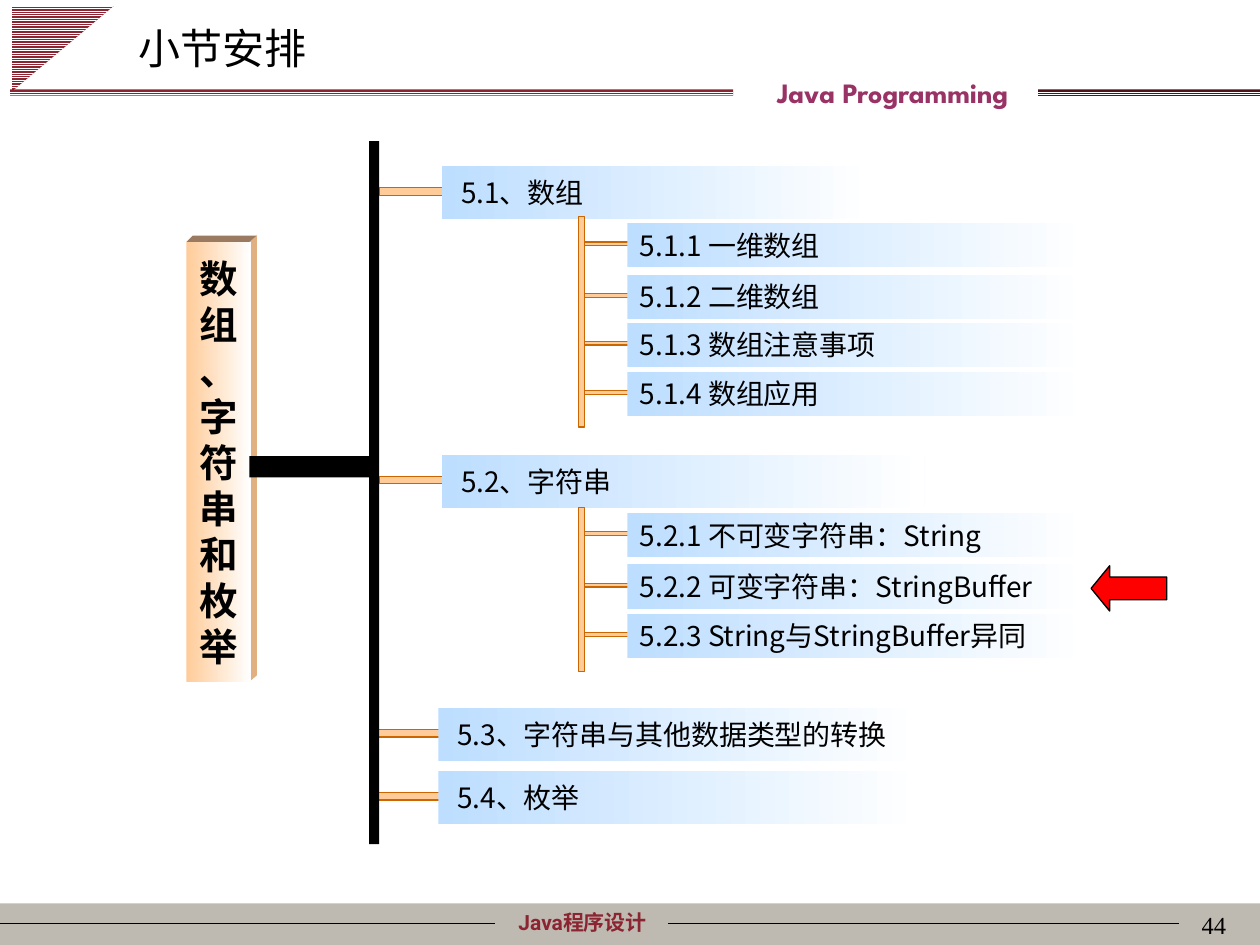
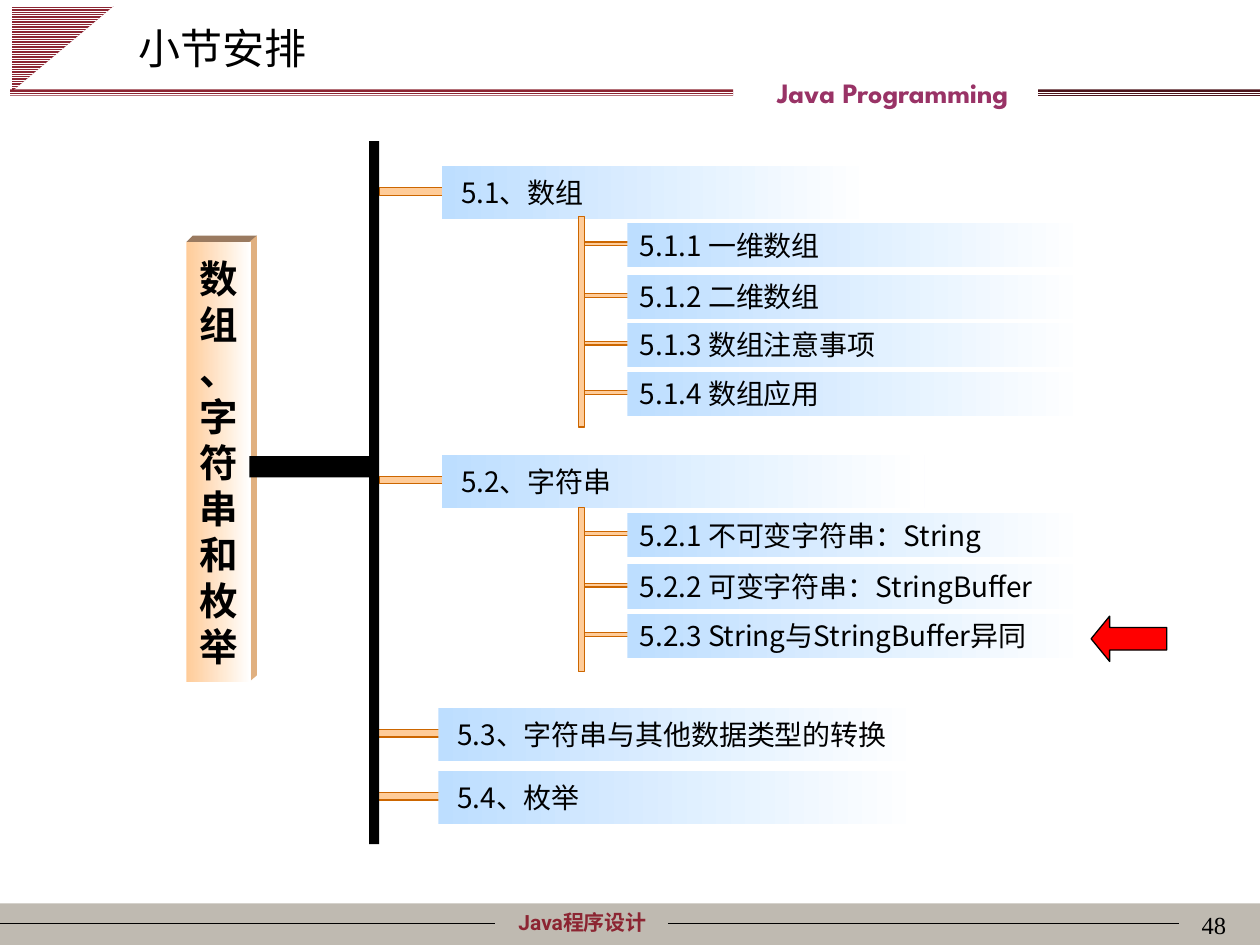
from dataclasses import dataclass

from lxml import etree
from pptx import Presentation
from pptx import util as u
from pptx.dml.color import RGBColor
from pptx.enum import shapes, text
from pptx.enum.dml import MSO_PATTERN
from pptx.oxml.ns import qn


@dataclass(frozen=True)
class Theme:
    black: str = "000000"
    white: str = "FFFFFF"
    maroon: str = "8C2532"
    dark_maroon: str = "4C141B"
    plum: str = "993366"
    band: str = "BFBAB1"
    peach: str = "FFCC99"
    orange: str = "CC6600"
    sky: str = "BDDEFF"
    red: str = "FF0000"
    top_face: str = "9A7A60"
    side_face: str = "E0B080"
    cjk: str = "Noto Sans CJK SC"
    footer_font: str = "Roboto"
    course_font: str = "League Spartan"
    number_font: str = "Times New Roman"
    title_size: int = 24
    chapter_size: int = 22
    body_size: int = 16
    number_size: int = 14
    footer_size: int = 12
    line_width: float = 0.75


theme = Theme()
rgb = RGBColor.from_string
RECT = shapes.MSO_SHAPE.RECTANGLE
LEFT, CENTER, RIGHT = text.PP_ALIGN.LEFT, text.PP_ALIGN.CENTER, text.PP_ALIGN.RIGHT


def write(shape, words, size=theme.body_size, font=theme.cjk, color=theme.black,
          bold=False, align=LEFT, inset=0.1, pitch=None):
    frame = shape.text_frame
    frame.word_wrap = True
    frame.vertical_anchor = text.MSO_ANCHOR.MIDDLE
    frame.margin_left, frame.margin_right = u.Inches(inset), u.Inches(0.1)
    frame.margin_top = frame.margin_bottom = u.Inches(0.03)
    line = frame.paragraphs[0]
    line.alignment = align
    if pitch:
        line.line_spacing = u.Pt(pitch)
    run = line.add_run()
    run.text = words
    run.font.size, run.font.bold, run.font.name = u.Pt(size), bold, font
    run.font.color.rgb = rgb(color)
    etree.SubElement(run._r.get_or_add_rPr(), qn("a:ea")).set("typeface", font)


def block(slide, x, y, w, h, fill, fade=False, outline=None, kind=RECT):
    shape = slide.shapes.add_shape(kind, *map(u.Inches, (x, y, w, h)))
    shape.shadow.inherit = False
    if fade:
        shape.fill.gradient()
        shape.fill.gradient_angle = 0
        for stop, color in zip(shape.fill.gradient_stops, (fill, theme.white)):
            stop.color.rgb = rgb(color)
    else:
        shape.fill.solid()
        shape.fill.fore_color.rgb = rgb(fill)
    if outline:
        shape.line.color.rgb = rgb(outline)
        shape.line.width = u.Pt(theme.line_width)
    else:
        shape.line.fill.background()
    return shape


prs = Presentation()
prs.slide_width, prs.slide_height = u.Inches(10), u.Inches(7.5)
layout = prs.slide_layouts[5]

# Title position, inherited by every slide
heading = layout.placeholders[0]
heading.left, heading.top = u.Inches(1), u.Inches(0.13)
heading.width, heading.height = u.Inches(2.85), u.Inches(0.5)

# Shared frame: drawn on a slide, then moved into the layout
stage = prs.slides.add_slide(layout)
frame_parts = [block(stage, 0, 7.17, 10, 0.33, theme.band)]
for start, end in ((0, 3.93), (5.3, 9.36)):
    rule = stage.shapes.add_connector(
        shapes.MSO_CONNECTOR.STRAIGHT, *map(u.Inches, (start, 7.33, end, 7.33)))
    rule.line.color.rgb = rgb(theme.black)
    rule.line.width = u.Pt(theme.line_width)
    etree.SubElement(rule._element.spPr, qn("a:effectLst"))
    frame_parts.append(rule)

for x, y, w, h, color, kind, turn in (
        (0.16, -0.02, 0.68, 0.81, theme.maroon, shapes.MSO_SHAPE.RIGHT_TRIANGLE, 90),
        (8.24, 0.71, 1.76, 0.06, theme.dark_maroon, RECT, 0),
        (0.08, 0.71, 5.74, 0.05, theme.maroon, RECT, 0)):
    stripes = block(stage, x, y, w, h, color, kind=kind)
    stripes.rotation = turn
    stripes.fill.patterned()
    stripes.fill.pattern = MSO_PATTERN.LIGHT_HORIZONTAL
    stripes.fill.fore_color.rgb = rgb(theme.white)
    stripes.fill.back_color.rgb = rgb(color)
    frame_parts.append(stripes)

for x, y, w, h, words, size, font, color in (
        (3.62, 7.17, 2.01, 0.3, "Java程序设计", theme.footer_size, theme.footer_font, theme.maroon),
        (5.08, 0.55, 4.01, 0.37, "Java Programming", theme.body_size, theme.course_font, theme.plum)):
    caption = stage.shapes.add_textbox(*map(u.Inches, (x, y, w, h)))
    write(caption, words, size=size, font=font, color=color, bold=True, align=CENTER)
    frame_parts.append(caption)

for part in frame_parts:
    layout.shapes._spTree.append(part._element)

# Outline: left, top, width, heading
sections = (
    (3.51, 1.32, 3.41, "5.1、数组"),
    (3.51, 3.61, 3.83, "5.2、字符串"),
    (3.48, 5.62, 3.83, "5.3、字符串与其他数据类型的转换"),
    (3.48, 6.12, 3.83, "5.4、枚举"),
)
# Branches: top and height of the stem, then top and wording of each topic
branches = (
    (1.72, 1.67, ((1.77, "5.1.1 一维数组"), (2.18, "5.1.2 二维数组"),
                  (2.56, "5.1.3 数组注意事项"), (2.95, "5.1.4 数组应用"))),
    (4.03, 1.3, ((4.07, "5.2.1 不可变字符串：String"), (4.48, "5.2.2 可变字符串：StringBuffer"),
                 (4.87, "5.2.3 String与StringBuffer异同"))),
)

for slide, page, arrow_top in ((stage, "44", 4.49),
                               (prs.slides.add_slide(layout), "48", 4.89)):
    write(slide.shapes.title, "小节安排", size=theme.title_size)
    number = slide.shapes.add_textbox(*map(u.Inches, (7.75, 7.17, 2.08, 0.34)))
    write(number, page, size=theme.number_size, font=theme.number_font, align=RIGHT)

    # Chapter plaque with its top and side faces
    for color, corners in (
            (theme.top_face, ((148, 192), (153, 187), (204, 187), (199, 192))),
            (theme.side_face, ((198, 192), (204, 187), (204, 536), (198, 541)))):
        outline = slide.shapes.build_freeform(*corners[0], scale=u.Inches(0.01))
        outline.add_line_segments(corners[1:], close=True)
        face = outline.convert_to_shape()
        face.shadow.inherit = False
        face.fill.solid()
        face.fill.fore_color.rgb = rgb(color)
        face.line.fill.background()
    chapter = block(slide, 1.48, 1.92, 0.51, 3.49, theme.peach, fade=True)
    write(chapter, "数组、字符串和枚举", size=theme.chapter_size, bold=True,
          align=CENTER, pitch=26.3)
    chapter.text_frame.paragraphs[0]._p.get_or_add_pPr().set("hangingPunct", "0")

    # Sections on the main spine
    for x, y, w, words in sections:
        block(slide, x - 0.5, y + 0.17, 0.51, 0.06, theme.peach, outline=theme.orange)
        write(block(slide, x, y, w, 0.42, theme.sky, fade=True), words, inset=0.15)
    block(slide, 1.98, 3.62, 1, 0.17, theme.black)
    block(slide, 2.93, 1.12, 0.08, 5.58, theme.black)

    # Topics on the branch stems
    for stem_top, stem_height, topics in branches:
        for y, words in topics:
            block(slide, 4.61, y + 0.15, 0.51, 0.03, theme.peach, outline=theme.orange)
            write(block(slide, 4.98, y, 3.65, 0.35, theme.sky, fade=True), words)
        block(slide, 4.59, stem_top, 0.05, stem_height, theme.peach, outline=theme.orange)

    # Pointer to the current topic
    pointer = block(slide, 8.66, arrow_top, 0.6, 0.36, theme.red,
                    outline=theme.black, kind=shapes.MSO_SHAPE.LEFT_ARROW)
    pointer.adjustments[0], pointer.adjustments[1] = 0.5, 0.41

prs.save("out.pptx")
